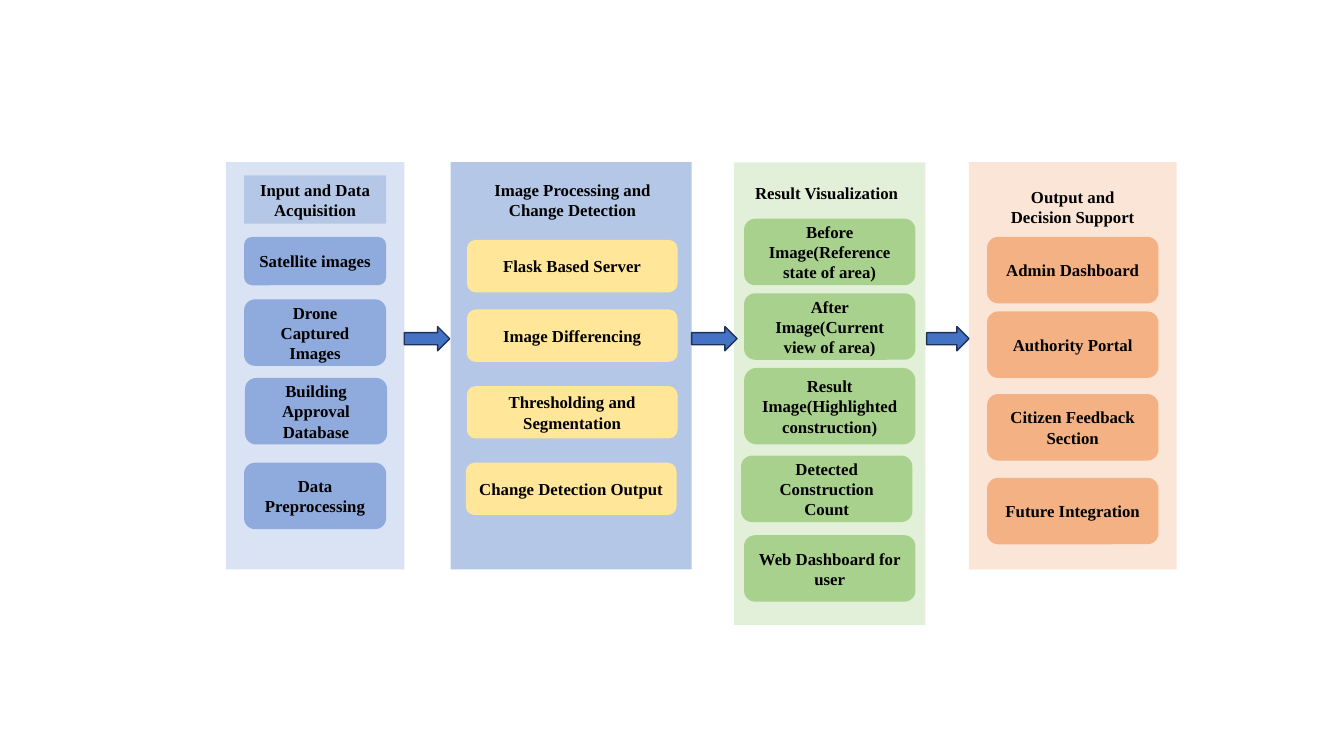
from pptx import Presentation
from pptx.dml.color import RGBColor
from pptx.enum.shapes import MSO_SHAPE
from pptx.enum.text import MSO_ANCHOR, PP_ALIGN
from pptx.util import Inches, Pt

RECT = MSO_SHAPE.RECTANGLE
ROUND = MSO_SHAPE.ROUNDED_RECTANGLE
ARROW = MSO_SHAPE.RIGHT_ARROW
MIDDLE = MSO_ANCHOR.MIDDLE
CENTER = PP_ALIGN.CENTER

BLACK = RGBColor(0x00, 0x00, 0x00)
ICE = RGBColor(0xDA, 0xE3, 0xF3)
SKY = RGBColor(0xB4, 0xC7, 0xE7)
BLUE = RGBColor(0x8F, 0xAA, 0xDC)
GOLD = RGBColor(0xFF, 0xE6, 0x99)
MINT = RGBColor(0xE2, 0xF0, 0xD9)
GREEN = RGBColor(0xA9, 0xD1, 0x8E)
PEACH = RGBColor(0xFB, 0xE5, 0xD6)
ORANGE = RGBColor(0xF4, 0xB1, 0x83)
ROYAL = RGBColor(0x44, 0x72, 0xC4)
NAVY = RGBColor(0x1E, 0x32, 0x56)

TOP = 1.61
TALL = 0.66

PANELS = [
    (2.24, 1.77, 4.04, ICE),
    (4.47, 2.39, 4.04, SKY),
    (7.28, 1.9, 4.59, MINT),
    (9.61, 2.06, 4.04, PEACH),
]

HEADS = [
    (RECT, 2.42, 1.74, 1.41, 0.48, SKY, "Input and Data Acquisition"),
    (ROUND, 4.7, 1.65, 1.96, TALL, SKY, "Image Processing and Change Detection"),
    (ROUND, 7.35, 1.65, 1.7, 0.52, MINT, "Result Visualization"),
    (ROUND, 9.79, 1.72, 1.7, TALL, PEACH, "Output and Decision Support"),
]

STEPS = [
    (1.41, BLUE, [
        (2.42, 2.35, 0.48, "Satellite images"),
        (2.42, 2.97, TALL, "Drone Captured Images"),
        (2.43, 3.75, TALL, "Building Approval Database"),
        (2.42, 4.59, TALL, "Data Preprocessing"),
    ]),
    (2.09, GOLD, [
        (4.63, 2.38, 0.52, "Flask Based Server"),
        (4.63, 3.07, 0.52, "Image Differencing"),
        (4.63, 3.83, 0.52, "Thresholding and Segmentation"),
        (4.62, 4.59, 0.52, "Change Detection Output"),
    ]),
    (1.7, GREEN, [
        (7.38, 2.17, TALL, "Before Image(Reference state of area)"),
        (7.38, 2.91, TALL, "After Image(Current view of area)"),
        (7.38, 3.65, 0.76, "Result Image(Highlighted\nconstruction)"),
        (7.35, 4.52, TALL, "Detected Construction\nCount"),
        (7.38, 5.31, TALL, "Web Dashboard for user"),
    ]),
    (1.7, ORANGE, [
        (9.79, 2.35, TALL, "Admin Dashboard"),
        (9.79, 3.09, TALL, "Authority Portal"),
        (9.79, 3.91, TALL, "Citizen Feedback Section"),
        (9.79, 4.74, TALL, "Future Integration"),
    ]),
]

ARROWS = [(4.01, 0.45), (6.86, 0.45), (9.19, 0.42)]


class Board:
    font = "Times New Roman"
    size = Pt(12)

    def __init__(self, slide):
        self.slide = slide

    def panel(self, kind, left, top, width, height, fill):
        shape = self.slide.shapes.add_shape(
            kind, Inches(left), Inches(top), Inches(width), Inches(height))
        shape.shadow.inherit = False
        shape.fill.solid()
        shape.fill.fore_color.rgb = fill
        shape.line.fill.background()
        return shape

    def box(self, kind, left, top, width, height, fill, text):
        frame = self.panel(kind, left, top, width, height, fill).text_frame
        frame.word_wrap = True
        frame.vertical_anchor = MIDDLE
        for i, line in enumerate(text.split("\n")):
            para = frame.add_paragraph() if i else frame.paragraphs[0]
            para.alignment = CENTER
            run = para.add_run()
            run.text = line
            run.font.name = self.font
            run.font.size = self.size
            run.font.bold = True
            run.font.color.rgb = BLACK

    def arrow(self, left, width):
        shape = self.panel(ARROW, left, 3.24, width, 0.24, ROYAL)
        shape.line.color.rgb = NAVY
        shape.line.width = Pt(1)


def main():
    deck = Presentation()
    deck.slide_width = Inches(13.33)
    deck.slide_height = Inches(7.5)
    board = Board(deck.slides.add_slide(deck.slide_layouts[6]))
    for left, width, height, fill in PANELS:
        board.panel(RECT, left, TOP, width, height, fill)
    for head, (width, fill, steps) in zip(HEADS, STEPS):
        board.box(*head)
        for left, top, height, text in steps:
            board.box(ROUND, left, top, width, height, fill, text)
    for left, width in ARROWS:
        board.arrow(left, width)
    deck.save("out.pptx")


if __name__ == "__main__":
    main()
